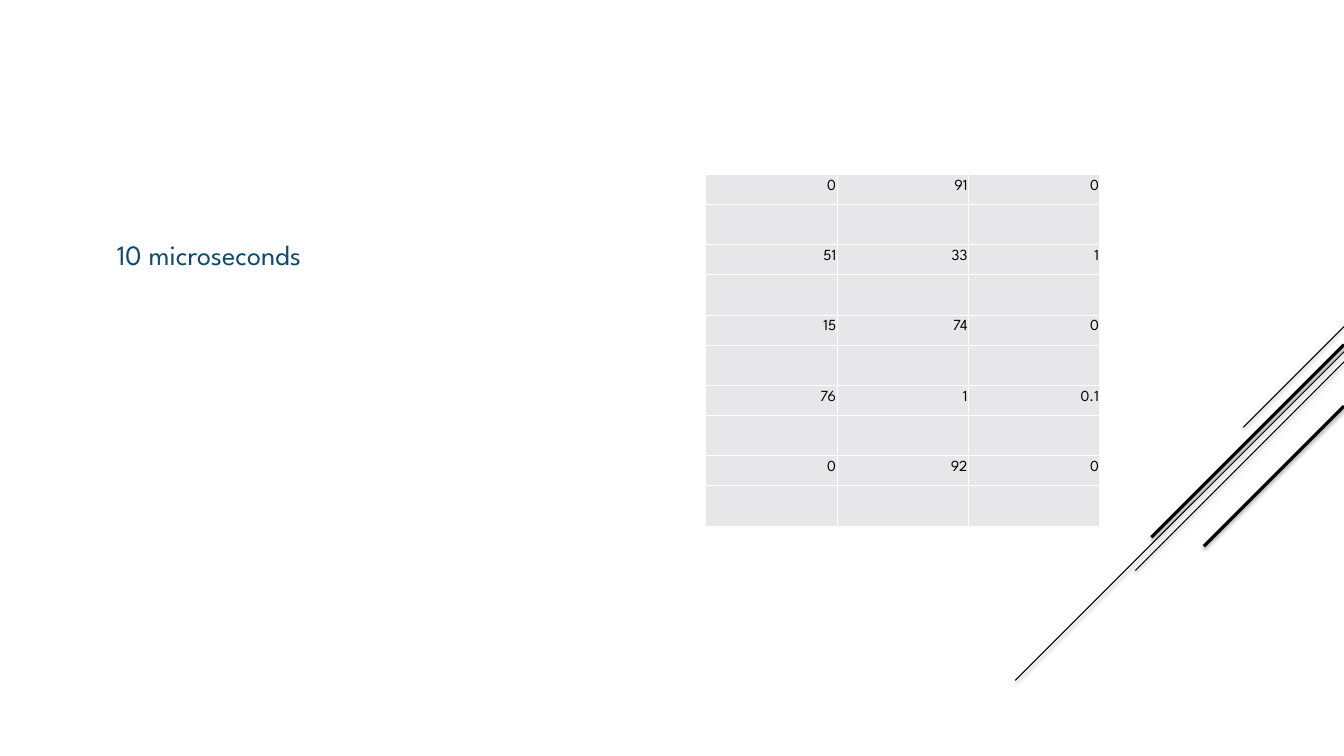
from lxml.etree import SubElement
from pptx import Presentation
from pptx.dml.color import RGBColor
from pptx.enum.shapes import MSO_CONNECTOR as Connector
from pptx.enum.text import MSO_ANCHOR as Anchor, PP_ALIGN as Align
from pptx.oxml import parse_xml
from pptx.oxml.ns import nsdecls, qn
from pptx.util import Inches, Pt

WIDTH, HEIGHT = 13.33, 7.5
FONT = "League Spartan"
BLACK, WHITE, NAVY, GREY = "000000", "FFFFFF", "0F496F", "E7E7EA"
READINGS = [
    ("0", "91", "0"),
    ("51", "33", "1"),
    ("15", "74", "0"),
    ("76", "1", "0.1"),
    ("0", "92", "0"),
]
STRIPES = [
    (3.24, 1.0, 0.75),
    (3.49, 3.26, 0.75),
    (3.59, 2.07, 0.75),
    (3.42, 1.91, 2.25),
    (4.03, 1.39, 2.25),
]


def color(value):
    return RGBColor.from_string(value)


def write(frame, text, size=11, fill=BLACK, align=Align.LEFT, before=0, after=0):
    para = frame.paragraphs[0]
    para.alignment = align
    para.space_before, para.space_after = Pt(before), Pt(after)
    span = para.add_run()
    span.text = text
    span.font.name = FONT
    span.font.size = Pt(size)
    span.font.color.rgb = color(fill)


def add_shadow(line):
    line._element.spPr.append(parse_xml(
        f'<a:effectLst {nsdecls("a")}>'
        f'<a:outerShdw blurRad="{Pt(3.1)}" dist="{Pt(1.6)}" dir="5400000" '
        'algn="ctr" rotWithShape="0">'
        f'<a:srgbClr val="{BLACK}"><a:alpha val="38000"/></a:srgbClr>'
        '</a:outerShdw></a:effectLst>'
    ))


def draw_stripes(page, right):
    for top, reach, weight in STRIPES:
        line = page.shapes.add_connector(
            Connector.STRAIGHT, Inches(right), Inches(top),
            Inches(right - reach), Inches(top + reach))
        line.line.color.rgb = color(BLACK)
        line.line.width = Pt(weight)
        add_shadow(line)


def draw_caption(page, left, top, width, height):
    box = page.shapes.add_textbox(
        Inches(left), Inches(top), Inches(width), Inches(height))
    frame = box.text_frame
    frame.word_wrap = True
    frame.vertical_anchor = Anchor.MIDDLE
    frame.margin_left = Inches(0.41)
    frame.margin_bottom = Inches(0.46)
    write(frame, "10 microseconds", size=20, fill=NAVY, before=4, after=6)


def style_cell(cell):
    properties = cell._tc.get_or_add_tcPr()
    for side in ("lnL", "lnR", "lnT", "lnB"):
        border = SubElement(properties, qn(f"a:{side}"), w=str(Pt(0.96)))
        paint = SubElement(border, qn("a:solidFill"))
        SubElement(paint, qn("a:srgbClr"), val=WHITE)
    cell.fill.solid()
    cell.fill.fore_color.rgb = color(GREY)


def draw_readings(page, left, top, width, height):
    rows, columns = 2 * len(READINGS), len(READINGS[0])
    table = page.shapes.add_table(
        rows, columns, Inches(left), Inches(top),
        Inches(width), Inches(height)).table
    table.first_row = table.horz_banding = False
    for cell in table.iter_cells():
        style_cell(cell)
    for index, values in enumerate(READINGS):
        for column, value in enumerate(values):
            cell = table.cell(2 * index, column)
            cell.margin_left = cell.margin_right = Inches(0.01)
            write(cell.text_frame, value, align=Align.RIGHT)


def main():
    deck = Presentation()
    deck.slide_width, deck.slide_height = Inches(WIDTH), Inches(HEIGHT)
    page = deck.slides.add_slide(deck.slide_layouts[6])
    draw_stripes(page, WIDTH)
    draw_caption(page, 0.75, HEIGHT / 10, 0.7 * WIDTH, 3.95)
    draw_readings(page, 7, 1.73, 3.91, 2.98)
    deck.save("out.pptx")


if __name__ == "__main__":
    main()
